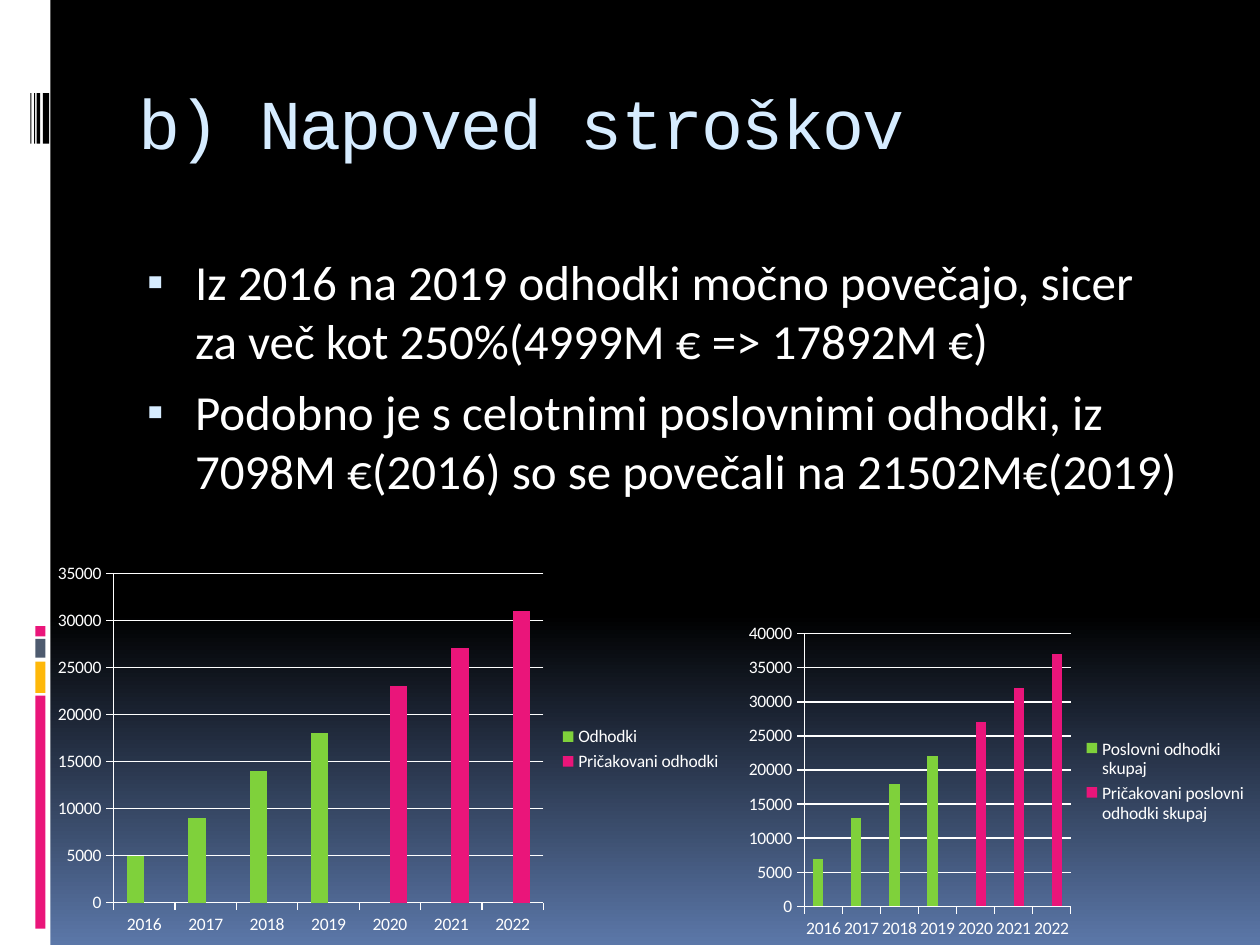
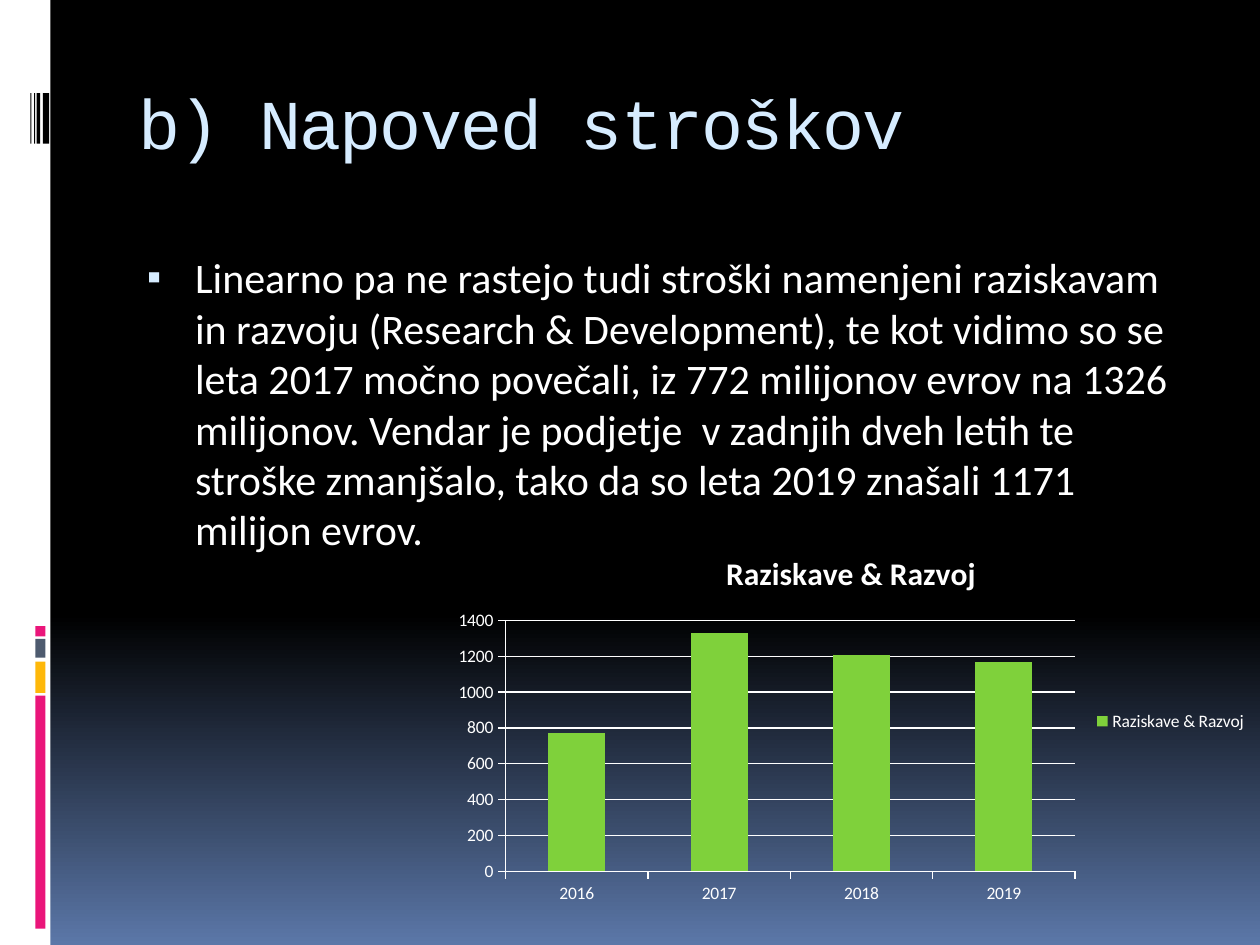
from copy import deepcopy

from lxml.etree import SubElement
from pptx import Presentation
from pptx.chart.data import CategoryChartData
from pptx.dml.color import RGBColor
from pptx.enum.chart import XL_CHART_TYPE, XL_LEGEND_POSITION, XL_TICK_MARK
from pptx.enum.shapes import MSO_SHAPE
from pptx.enum.text import MSO_ANCHOR
from pptx.oxml.ns import qn
from pptx.util import Inches, Pt

WHITE, BLACK, PALE_BLUE = "FFFFFF", "000000", "D6ECFF"
PINK, YELLOW, SLATE, GREEN = "EA157A", "FEB80A", "4E5B6F", "7FD13B"
BACKGROUND_STOPS = [(0, BLACK), (0.65, BLACK), (1, "5B77A8")]
COLOUR_STRIPES = [(5.52, 1.85, PINK), (5.25, 0.25, YELLOW), (5.07, 0.15, SLATE), (4.97, 0.08, PINK)]
BARCODE_LINES = [(0.34, 0.05), (0.29, 0.03), (0.27, 0.01), (0.24, 0.01)]
TITLE = "b) Napoved stroškov"
YEARS = ["2016", "2017", "2018", "2019", "2020", "2021", "2022"]
KNOWN_YEARS = 4


def colour(hex_value):
    """Turn a hex string into a colour."""
    return RGBColor.from_string(hex_value)


def apply_format(target, values):
    """Set each named attribute of the target."""
    for name, value in values.items():
        setattr(target, name, value)


def format_font(font, name, size, hex_value, bold=False):
    """Give a font its face, size, weight and colour."""
    apply_format(font, {"name": name, "size": Pt(size), "bold": bold})
    font.color.rgb = colour(hex_value)


def fill_background(slide):
    """Fill the slide with the vertical gradient."""
    fill = slide.background.fill
    fill.gradient()
    fill.gradient_angle = 270
    stop_list = slide.background._cSld.find(".//" + qn("a:gsLst"))
    stop_list.insert(1, deepcopy(stop_list[0]))
    for stop, (position, hex_value) in zip(fill.gradient_stops, BACKGROUND_STOPS):
        stop.color.rgb = colour(hex_value)
        stop.position = position


def add_rectangle(slide, left, top, width, height, hex_value):
    """Add a plain filled rectangle."""
    shape = slide.shapes.add_shape(
        MSO_SHAPE.RECTANGLE, Inches(left), Inches(top), Inches(width), Inches(height))
    shape.shadow.inherit = False
    shape.fill.solid()
    shape.fill.fore_color.rgb = colour(hex_value)
    shape.line.fill.background()


def add_side_band(slide):
    """Add the white band with its stripes and barcode."""
    add_rectangle(slide, 0, 0, 0.4, 7.5, WHITE)
    for top, height, hex_value in COLOUR_STRIPES:
        add_rectangle(slide, 0.28, top, 0.08, height, hex_value)
    for left, width in BARCODE_LINES:
        add_rectangle(slide, left, 0.74, width, 0.4, BLACK)


def add_text_frame(slide, top, height, margin_top):
    """Add a wrapping text box in the content column."""
    box = slide.shapes.add_textbox(Inches(1), Inches(top), Inches(8.5), Inches(height))
    apply_format(box.text_frame, {"word_wrap": True, "vertical_anchor": MSO_ANCHOR.TOP,
                                  "margin_top": Inches(margin_top)})
    return box.text_frame


def add_title(slide):
    """Add the slide title with slightly tightened letters."""
    frame = add_text_frame(slide, 0.56, 1, 0.07)
    run = frame.paragraphs[0].add_run()
    run.text = TITLE
    format_font(run.font, "Courier New", 40, PALE_BLUE)
    run._r.get_or_add_rPr().set("spc", "-100")


def add_bullet(paragraph):
    """Give a paragraph a hanging square bullet."""
    properties = paragraph._p.get_or_add_pPr()
    properties.set("marL", str(Inches(0.45)))
    properties.set("indent", str(Inches(-0.38)))
    bullet_colour = SubElement(properties, qn("a:buClr"))
    SubElement(bullet_colour, qn("a:srgbClr"), val=PALE_BLUE)
    SubElement(properties, qn("a:buSzPct"), val="95000")
    SubElement(properties, qn("a:buFont"), typeface="Calibri")
    SubElement(properties, qn("a:buChar"), char="▪")


def add_body(slide, texts, size):
    """Add the bulleted body text."""
    frame = add_text_frame(slide, 1.95, 5, 0.05)
    for index, text in enumerate(texts):
        paragraph = frame.add_paragraph() if index else frame.paragraphs[0]
        paragraph.space_before = Pt(7)
        add_bullet(paragraph)
        run = paragraph.add_run()
        run.text = text
        format_font(run.font, "Calibri", size, WHITE)


def format_line(line):
    """Draw a thin white chart line."""
    line.width = Pt(0.75)
    line.color.rgb = colour(WHITE)


def add_column_chart(slide, place, years, series_values, title=None):
    """Add a clustered column chart with a legend on the right."""
    data = CategoryChartData()
    data.categories = years
    for name, values in series_values.items():
        data.add_series(name, values)
    chart = slide.shapes.add_chart(
        XL_CHART_TYPE.COLUMN_CLUSTERED, *map(Inches, place), data).chart
    format_font(chart.font, "Calibri", 10, WHITE)
    apply_format(chart, {"has_legend": True, "has_title": bool(title)})
    apply_format(chart.legend, {"position": XL_LEGEND_POSITION.RIGHT, "include_in_layout": False})
    if title:
        chart.chart_title.text_frame.text = title
        run = chart.chart_title.text_frame.paragraphs[0].runs[0]
        format_font(run.font, "Calibri", 18, WHITE, True)
    for axis in (chart.category_axis, chart.value_axis):
        apply_format(axis, {"major_tick_mark": XL_TICK_MARK.OUTSIDE,
                            "minor_tick_mark": XL_TICK_MARK.NONE})
        format_line(axis.format.line)
    chart.value_axis.has_major_gridlines = True
    format_line(chart.value_axis.major_gridlines.format.line)
    plot = chart.plots[0]
    apply_format(plot, {"gap_width": 150, "overlap": 0, "vary_by_categories": False})
    for series, hex_value in zip(plot.series, (GREEN, PINK)):
        series.invert_if_negative = False
        series.format.fill.solid()
        series.format.fill.fore_color.rgb = colour(hex_value)


def add_forecast_chart(slide, place, known_name, forecast_name, values):
    """Chart known years and forecast years as two series."""
    known, forecast = values[:KNOWN_YEARS], values[KNOWN_YEARS:]
    add_column_chart(slide, place, YEARS, {
        known_name: known + [None] * len(forecast),
        forecast_name: [None] * len(known) + forecast,
    })


def add_content_slide(presentation, texts, size):
    """Add a slide with the shared design, title and body."""
    slide = presentation.slides.add_slide(presentation.slide_layouts[6])
    fill_background(slide)
    add_side_band(slide)
    add_title(slide)
    add_body(slide, texts, size)
    return slide


def main():
    """Build and save the cost forecast slides."""
    presentation = Presentation()
    apply_format(presentation, {"slide_width": Inches(10), "slide_height": Inches(7.5)})

    expenses = add_content_slide(presentation, [
        "Iz 2016 na 2019 odhodki močno povečajo, sicer za več kot 250%(4999M € => 17892M €)",
        "Podobno je s celotnimi poslovnimi odhodki, iz 7098M €(2016) so se povečali na "
        "21502M€(2019)",
    ], 28)
    add_forecast_chart(expenses, (0.35, 4.41, 5.48, 3.07), "Odhodki", "Pričakovani odhodki",
                       [5000, 9000, 14000, 18000, 23000, 27000, 31000])
    add_forecast_chart(expenses, (5.86, 4.9, 4.14, 2.6), "Poslovni odhodki skupaj",
                       "Pričakovani poslovni odhodki skupaj",
                       [7000, 13000, 18000, 22000, 27000, 32000, 37000])

    research = add_content_slide(presentation, [
        "Linearno pa ne rastejo tudi stroški namenjeni raziskavam in razvoju (Research & "
        "Development), te kot vidimo so se leta 2017 močno povečali, iz 772 milijonov evrov "
        "na 1326 milijonov. Vendar je podjetje  v zadnjih dveh letih te stroške zmanjšalo, "
        "tako da so leta 2019 znašali 1171 milijon evrov.",
    ], 24)
    add_column_chart(research, (3.51, 4.22, 6.49, 3.01), YEARS[:KNOWN_YEARS],
                     {"Raziskave & Razvoj": [770, 1330, 1210, 1170]}, "Raziskave & Razvoj")

    presentation.save("out.pptx")


if __name__ == "__main__":
    main()
